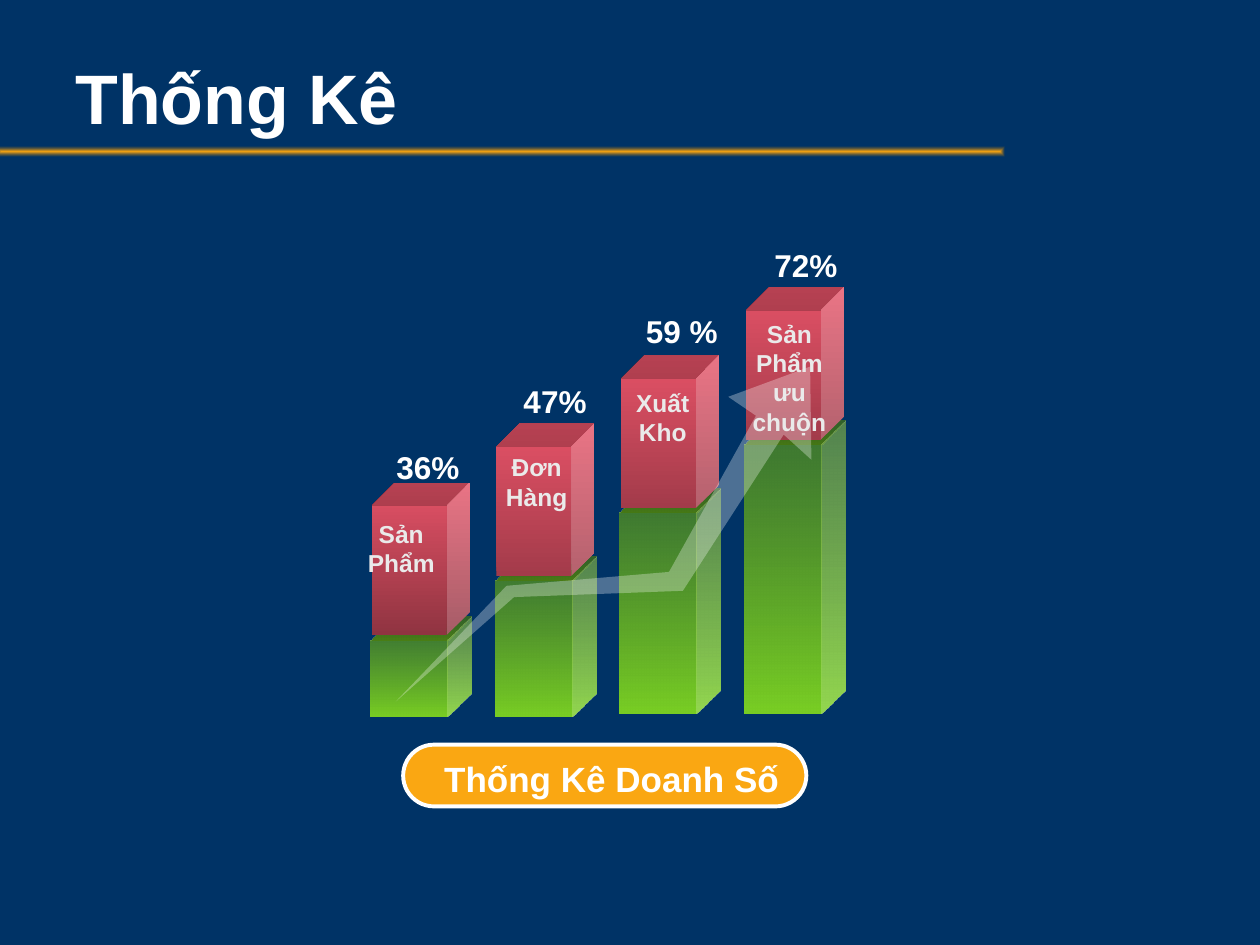
from lxml.etree import SubElement
from pptx import Presentation
from pptx.dml.color import RGBColor
from pptx.enum.shapes import MSO_SHAPE as SHAPE
from pptx.enum.text import MSO_ANCHOR as ANCHOR, MSO_AUTO_SIZE as AUTO, PP_ALIGN as ALIGN
from pptx.oxml.ns import qn
from pptx.util import Inches, Pt

NAVY = RGBColor(0x00, 0x33, 0x66)
WHITE = RGBColor(0xFF, 0xFF, 0xFF)
PALE = RGBColor(0xEA, 0xEA, 0xEA)
ORANGE = RGBColor(0xFA, 0xA7, 0x12)
BRONZE = RGBColor(0xB3, 0x77, 0x0D)
LIME = RGBColor(0x79, 0xCE, 0x24)
GREEN = RGBColor(0x57, 0x93, 0x1A)
ROSE = RGBColor(0xE4, 0x52, 0x67)
RED = RGBColor(0xA3, 0x3B, 0x4A)
WINE = RGBColor(0x90, 0x34, 0x41)

TITLE = "Thống Kê"
CAPTION = "Thống Kê Doanh Số"
BARS = [
    dict(value="36%", name="Sản Phẩm", top=4.89, base=5.69, shade=WINE,
         value_box=(3.04, 3.51, 0.71, 0.4), name_box=(2.77, 4.07, 0.83, 0.57)),
    dict(value="47%", name="Đơn Hàng", top=4.42, base=5.69, shade=RED,
         value_box=(4.05, 2.98, 0.71, 0.4), name_box=(3.91, 3.54, 0.7, 0.57)),
    dict(value="59 %", name="Xuất Kho", top=3.88, base=5.66, shade=RED,
         value_box=(5.02, 2.43, 0.78, 0.4), name_box=(4.91, 3.03, 0.7, 0.57)),
    dict(value="72%", name="Sản Phẩm ưu chuộn", top=3.34, base=5.66, shade=RED,
         value_box=(6.04, 1.9, 0.71, 0.4), name_box=(5.87, 2.48, 0.79, 1.04)),
]
ARROW = [(6.22, 3.45), (5.42, 4.69), (4.08, 4.74), (3.14, 5.57), (4.02, 4.65),
         (5.31, 4.54), (6, 3.3), (5.78, 3.15), (6.43, 2.91), (6.44, 3.65)]
FIRST_X, PITCH = 3.34, 0.99
GREEN_W, RED_W, RED_H, RED_RISE = 0.8, 0.78, 1.21, 1.06

prs = Presentation()
prs.slide_width, prs.slide_height = Inches(10), Inches(7.5)
s = prs.slides.add_slide(prs.slide_layouts[5])
s.background.fill.solid()
s.background.fill.fore_color.rgb = NAVY


def inches(box):
    return [Inches(v) for v in box]


def set_alpha(color_el, percent):
    SubElement(color_el, qn("a:alpha")).set("val", str(percent * 1000))


def add_shape(kind, box):
    sp = s.shapes.add_shape(kind, *inches(box))
    sp.shadow.inherit = False
    sp.line.fill.background()
    return sp


def fill_gradient(sp, start, end, end_alpha=100, centered=False):
    sp.fill.gradient()
    sp.fill.gradient_angle = 0
    for stop, color, pos in zip(sp.fill.gradient_stops, (start, end), (0, 1)):
        stop.color.rgb = color
        stop.position = pos
    grad = sp._element.spPr.find(qn("a:gradFill"))
    if end_alpha < 100:
        set_alpha(grad.findall(".//" + qn("a:srgbClr"))[-1], end_alpha)
    if centered:
        grad.remove(grad.find(qn("a:lin")))
        path = SubElement(grad, qn("a:path"))
        path.set("path", "shape")
        rect = SubElement(path, qn("a:fillToRect"))
        for side in "ltrb":
            rect.set(side, "50000")


def add_cube(center, top, width, height, start, end, end_alpha=100):
    middle = top + height / 2
    sp = add_shape(SHAPE.CUBE, (center - height / 2, middle - width / 2, height, width))
    sp.adjustments[0] = 0.238
    sp.rotation = 270
    sp._element.spPr.find(qn("a:xfrm")).set("flipV", "1")
    fill_gradient(sp, start, end, end_alpha)


def write(tf, text, size, color=WHITE, align=ALIGN.CENTER):
    p = tf.paragraphs[0]
    p.alignment = align
    r = p.add_run()
    r.text = text
    r.font.name, r.font.size, r.font.bold = "Arial", Pt(size), True
    r.font.color.rgb = color


def add_text(text, box, size, color=WHITE, wrap=False):
    tf = s.shapes.add_textbox(*inches(box)).text_frame
    tf.word_wrap = wrap
    tf.auto_size = AUTO.SHAPE_TO_FIT_TEXT
    write(tf, text, size, color)


rule = add_shape(SHAPE.RECTANGLE, (-0.03, 1.16, 8, 0.08))
fill_gradient(rule, ORANGE, BRONZE, end_alpha=0, centered=True)

title = s.shapes.title
title.left, title.top, title.width, title.height = inches((0.5, 0.18, 8.58, 1.17))
title.text_frame.auto_size = AUTO.NONE
title.text_frame.vertical_anchor = ANCHOR.MIDDLE
write(title.text_frame, TITLE, 40, align=ALIGN.LEFT)

for i, bar in reversed(list(enumerate(BARS))):
    center, top = FIRST_X + i * PITCH, bar["top"]
    add_cube(center, top, GREEN_W, bar["base"] - top, LIME, GREEN, 70)
    add_cube(center, top - RED_RISE, RED_W, RED_H, bar["shade"], ROSE)

points = [tuple(inches(pt)) for pt in ARROW]
builder = s.shapes.build_freeform(*points[0])
builder.add_line_segments(points[1:], close=True)
arrow = builder.convert_to_shape()
arrow.shadow.inherit = False
arrow.line.fill.background()
arrow.fill.solid()
arrow.fill.fore_color.rgb = WHITE
set_alpha(arrow._element.spPr.find(qn("a:solidFill"))[0], 30)

for bar in BARS:
    add_text(bar["value"], bar["value_box"], 18)

pill = add_shape(SHAPE.ROUNDED_RECTANGLE, (3.2, 5.91, 3.2, 0.49))
pill.adjustments[0] = 0.5
pill.fill.solid()
pill.fill.fore_color.rgb = ORANGE
pill.line.color.rgb = WHITE
pill.line.width = Pt(2.25)
add_text(CAPTION, (3.41, 5.96, 2.89, 0.44), 20)

for bar in BARS:
    add_text(bar["name"], bar["name_box"], 14, PALE, wrap=True)

prs.save("out.pptx")
